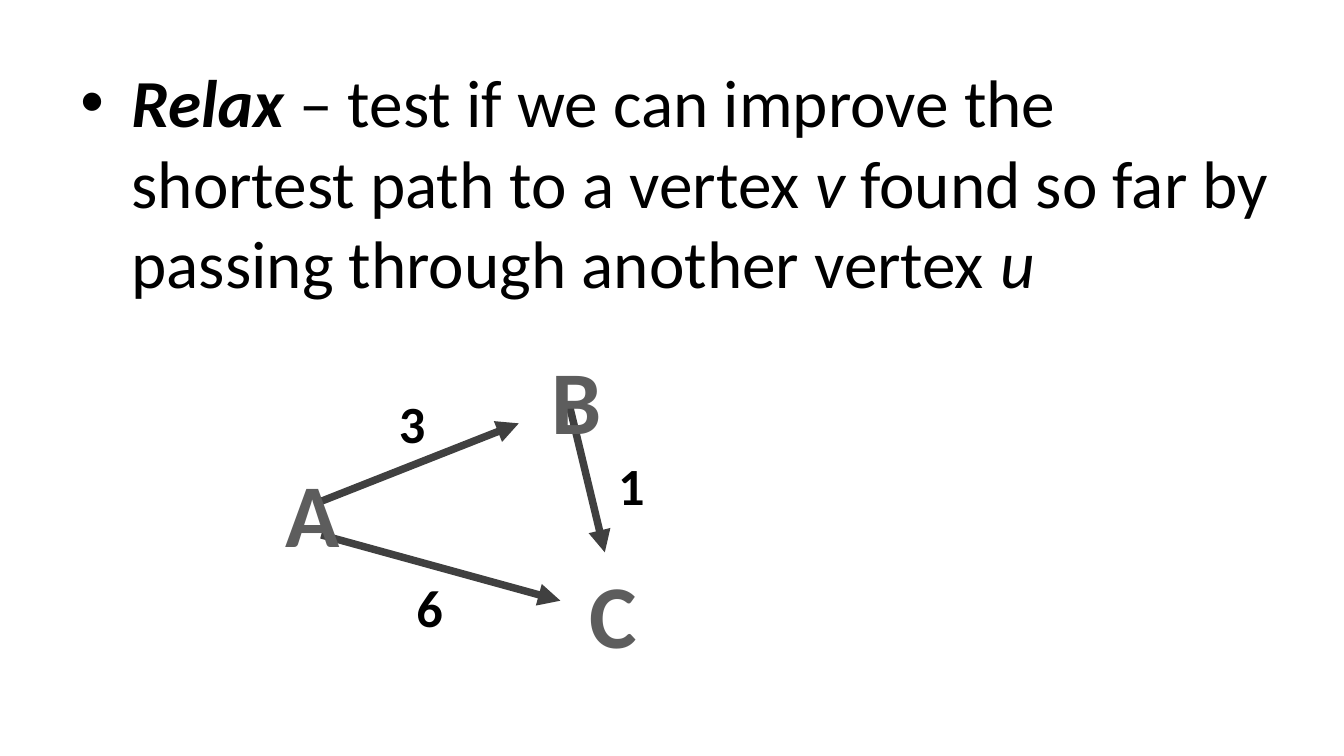
from lxml import etree
from pptx import Presentation
from pptx.dml.color import RGBColor
from pptx.enum.shapes import MSO_CONNECTOR
from pptx.enum.text import MSO_AUTO_SIZE, PP_ALIGN
from pptx.oxml.ns import qn
from pptx.util import Inches, Pt

BLACK = RGBColor(0x00, 0x00, 0x00)
VERTEX_GRAY = RGBColor(0x5D, 0x5D, 0x5D)
EDGE_GRAY = RGBColor(0x40, 0x40, 0x40)
FONT = "Calibri"
STRAIGHT = MSO_CONNECTOR.STRAIGHT
CENTER = PP_ALIGN.CENTER
LEFT = PP_ALIGN.LEFT
FIT_SHAPE = MSO_AUTO_SIZE.SHAPE_TO_FIT_TEXT
SLIDE_WIDTH = Inches(10)
SLIDE_HEIGHT = SLIDE_WIDTH * 9 // 16

DEFINITION = [
    # text, bold, italic
    ("Relax", True, True),
    (" – test if we can improve the shortest path to a vertex ", False, False),
    ("v", False, True),
    (" found so far by passing through another vertex ", False, False),
    ("u", False, True),
]

# Graph positions are relative to the graph's top left corner.
EDGES = [
    # start, end
    ((0.37, 1.21), (1.84, 0.63)),
    ((2.21, 0.47), (2.48, 1.59)),
    ((0.37, 1.46), (2.15, 1.95)),
]
VERTICES = [
    # name, left, top, width
    ("A", 0, 0.84, 0.61),
    ("B", 1.98, 0, 0.58),
    ("C", 2.26, 1.59, 0.56),
]
WEIGHTS = [
    # value, left, top, width
    ("3", 0.85, 0.34, 0.75),
    ("6", 0.98, 1.71, 0.5),
    ("1", 2.48, 0.8, 0.75),
]


def set_font(paragraph, size, color):
    paragraph.font.name = FONT
    paragraph.font.size = Pt(size)
    paragraph.font.color.rgb = color


def add_definition(slide, left, top, width, height):
    box = slide.shapes.add_textbox(Inches(left), Inches(top), Inches(width), Inches(height))
    box.text_frame.word_wrap = True
    paragraph = box.text_frame.paragraphs[0]
    properties = paragraph._p.get_or_add_pPr()
    properties.set("marL", str(Inches(0.38)))
    properties.set("indent", str(-Inches(0.38)))
    etree.SubElement(properties, qn("a:buFont"), typeface="Arial")
    etree.SubElement(properties, qn("a:buChar"), char="•")
    set_font(paragraph, 36, BLACK)
    for text, bold, italic in DEFINITION:
        run = paragraph.add_run()
        run.text = text
        run.font.bold = bold
        run.font.italic = italic


def add_edge(slide, start, end):
    edge = slide.shapes.add_connector(STRAIGHT, *(Inches(value) for value in start + end))
    edge.line.color.rgb = EDGE_GRAY
    edge.line.width = Pt(4)
    etree.SubElement(edge.line._get_or_add_ln(), qn("a:tailEnd"), type="triangle")
    etree.SubElement(edge._element.spPr, qn("a:effectLst"))


def add_label(slide, text, left, top, width, height, size, color, alignment, wrap):
    box = slide.shapes.add_textbox(Inches(left), Inches(top), Inches(width), Inches(height))
    box.text_frame.word_wrap = wrap
    box.text_frame.auto_size = FIT_SHAPE
    paragraph = box.text_frame.paragraphs[0]
    paragraph.text = text
    paragraph.alignment = alignment
    set_font(paragraph, size, color)
    paragraph.font.bold = True


def add_graph(slide, left, top):
    for (start_x, start_y), (end_x, end_y) in EDGES:
        add_edge(slide, (left + start_x, top + start_y), (left + end_x, top + end_y))
    for name, x, y, width in VERTICES:
        add_label(slide, name, left + x, top + y, width, 0.91, 48, VERTEX_GRAY, CENTER, False)
    for value, x, y, width in WEIGHTS:
        add_label(slide, value, left + x, top + y, width, 0.57, 28, BLACK, LEFT, True)


def main():
    presentation = Presentation()
    presentation.slide_width = SLIDE_WIDTH
    presentation.slide_height = SLIDE_HEIGHT
    slide = presentation.slides.add_slide(presentation.slide_layouts[6])
    add_definition(slide, 0.5, 0.4, 9.08, 2.19)
    add_graph(slide, 2.02, 2.52)
    presentation.save("out.pptx")


if __name__ == "__main__":
    main()
